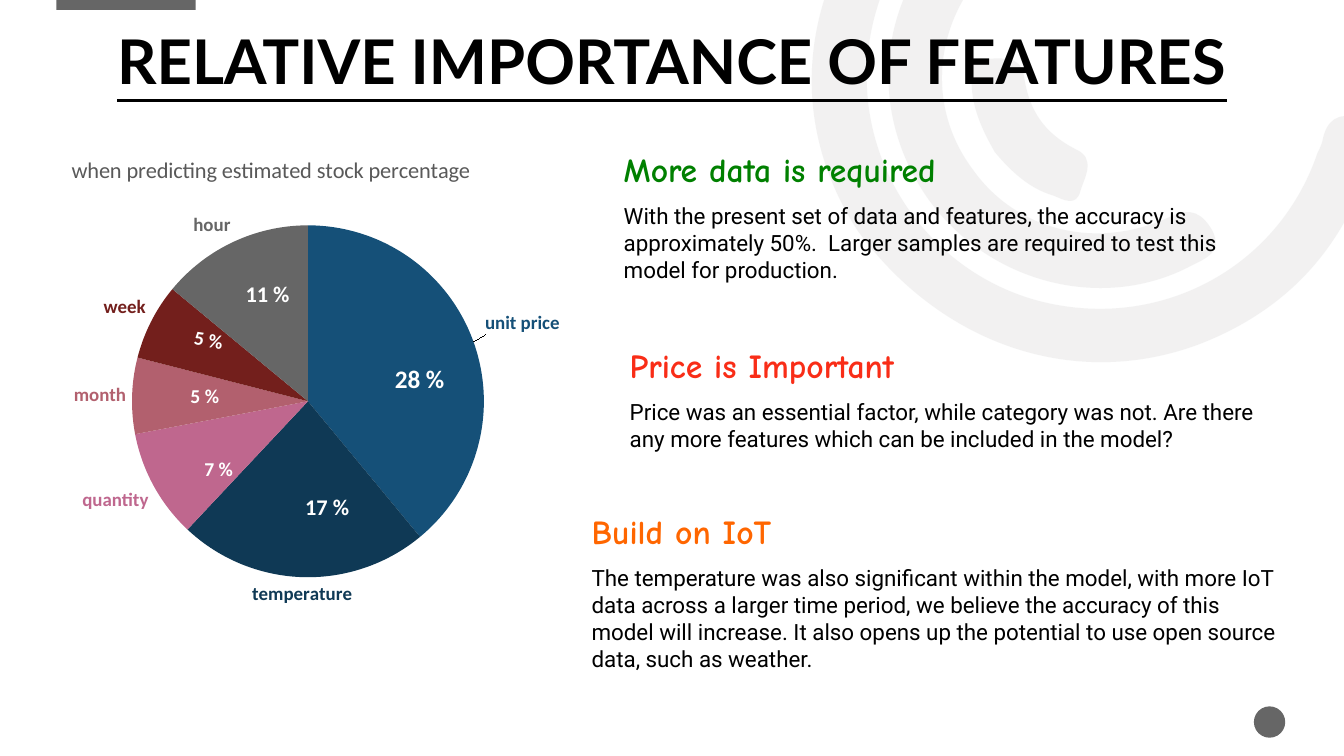
from math import cos, radians, sin

from lxml import etree
from pptx import Presentation
from pptx.chart.data import CategoryChartData
from pptx.dml.color import RGBColor
from pptx.enum.chart import XL_CHART_TYPE, XL_LABEL_POSITION
from pptx.enum.shapes import MSO_SHAPE
from pptx.enum.text import MSO_ANCHOR, PP_ALIGN
from pptx.oxml.ns import qn
from pptx.util import Cm, Pt

PIE = XL_CHART_TYPE.PIE
OUTSIDE = XL_LABEL_POSITION.OUTSIDE_END
RECT, OVAL = MSO_SHAPE.RECTANGLE, MSO_SHAPE.OVAL
BOTTOM, CENTER = MSO_ANCHOR.BOTTOM, PP_ALIGN.CENTER
GREY, PALE = "666666", "E7E6E6"
INCH = 2.54
TURN = 144.2  # turn of the swirl, in degrees

# Pie slices: name, value, colour
SLICES = [
    ("unit price", 39, "155078"), ("temperature", 23, "0F3955"),
    ("quantity", 10, "BF678E"), ("month", 7, "B2606E"),
    ("week", 7, "731F1C"), ("hour", 14, GREY),
]

# Shares on the pie: text, box, size, turn
SHARES = [
    ("28 %", (9.7, 9.04, 3.12, 1.02), 18, 0),
    ("17 %", (7.44, 12.29, 3.12, 0.94), 16, 0),
    ("7 %", (4.9, 11.4, 1.37, 0.86), 14, 0),
    ("5 %", (4.55, 9.55, 1.75, 0.86), 14, 0),
    ("5 %", (4.65, 8.13, 1.24, 0.86), 14, 8.9),
    ("11 %", (5.94, 6.93, 3.25, 0.94), 16, 0),
]

# Findings: heading, colour, box, body
NOTES = [
    ("More data is required", "008000", (15.47, 3.63, 16.97, 3.68),
     "With the present set of data and features, the accuracy is "
     "approximately 50%.  Larger samples are required to test this "
     "model for production."),
    ("Price is Important", "F92D17", (15.62, 8.56, 16.97, 3),
     "Price was an essential factor, while category was not. Are there "
     "any more features which can be included in the model?"),
    ("Build on IoT", "FF6600", (14.66, 12.75, 17.78, 5.13),
     "The temperature was also significant within the model, with more IoT "
     "data across a larger time period, we believe the accuracy of this "
     "model will increase. It also opens up the potential to use open "
     "source data, such as weather."),
]

# Swirl arms in inches: box before the turn, then a start point
# and three points for each curve as they lie on the slide
SWIRLS = [
    ((8.13, -2.02, 4.85, 6),
     [(8.51, 2.29), (7.99, 1.49), (7.87, 0.5), (8.38, -0.5),
      (8.9, -1.52), (9.76, -2.03), (10.9, -2.07),
      (11.05, -2.07), (11.21, -2.1), (11.31, -1.95),
      (11.44, -1.75), (11.27, -1.54), (10.98, -1.54),
      (9.67, -1.54), (8.65, -0.59), (8.6, 0.68),
      (8.56, 1.81), (9.36, 2.81), (10.46, 3.02),
      (11.6, 3.24), (12.7, 2.61), (13.07, 1.52),
      (13.09, 1.48), (13.11, 1.44), (13.12, 1.4),
      (13.16, 1.19), (13.27, 1.11), (13.49, 1.17),
      (13.73, 1.24), (13.67, 1.41), (13.61, 1.56),
      (13.34, 2.45), (12.78, 3.07), (11.91, 3.41),
      (10.7, 3.87), (9.36, 3.45), (8.51, 2.29)]),
    ((9.01, -0.78, 2.13, 4.26),
     [(9.22, 1.99), (8.62, 1.15), (8.69, 0.07), (9.4, -0.68),
      (9.51, -0.79), (9.62, -0.95), (9.8, -0.78),
      (9.95, -0.64), (9.97, -0.5), (9.79, -0.32),
      (9.25, 0.26), (9.2, 1.08), (9.65, 1.68),
      (10.08, 2.29), (10.88, 2.49), (11.61, 2.15),
      (11.82, 2.05), (11.93, 2.12), (12.03, 2.29),
      (12.13, 2.5), (11.97, 2.56), (11.83, 2.63),
      (10.96, 3.1), (9.83, 2.82), (9.22, 1.99)]),
    ((9.8, 0.37, 0.78, 1.83),
     [(9.87, 1.51), (9.75, 1.3), (9.64, 1.07), (9.64, 0.82),
      (9.64, 0.73), (9.61, 0.57), (9.76, 0.58),
      (9.92, 0.59), (10.13, 0.53), (10.16, 0.76),
      (10.21, 1.1), (10.36, 1.32), (10.67, 1.48),
      (10.88, 1.57), (10.76, 1.76), (10.72, 1.89),
      (10.68, 2.06), (10.55, 1.98), (10.45, 1.94),
      (10.21, 1.87), (10.03, 1.7), (9.87, 1.51)]),
]


def rgb(code):
    return RGBColor.from_string(code)


def style(font, size, color, face="Calibri", bold=False, line=False):
    font.size, font.name = Pt(size), face
    font.bold, font.underline = bold, line
    font.color.rgb = rgb(color)


def write(par, text, **look):
    run = par.add_run()
    run.text = text
    style(run.font, **look)


def paint(shape, color):
    shape.shadow.inherit = False
    shape.fill.solid()
    shape.fill.fore_color.rgb = rgb(color)
    shape.line.fill.background()


def set_box(shape, box):
    shape.left, shape.top, shape.width, shape.height = map(Cm, box)


def add_box(slide, box, wrap=True):
    shape = slide.shapes.add_textbox(*map(Cm, box))
    shape.text_frame.word_wrap = wrap
    return shape


def unturn(node, box):
    """Turn a point back about the box centre, measured from the box corner."""
    left, top, wide, high = box
    dx, dy = node[0] - left - wide / 2, node[1] - top - high / 2
    c, s = cos(radians(TURN)), sin(radians(TURN))
    return (Cm((wide / 2 + dx * c + dy * s) * INCH),
            Cm((high / 2 + dy * c - dx * s) * INCH))


def add_swirl(slide, box, nodes):
    dots = [unturn(node, box) for node in nodes]
    pen = slide.shapes.build_freeform(*dots[0])
    pen.add_line_segments(dots[3::3], close=True)
    shape = pen.convert_to_shape()
    set_box(shape, [side * INCH for side in box])
    shape.rotation = TURN
    paint(shape, PALE)
    tint = shape.fill._xPr.find(".//" + qn("a:srgbClr"))
    etree.SubElement(tint, qn("a:alpha"), val="53000")

    # Smooth curves in place of the straight steps
    route = shape._element.find(".//" + qn("a:path"))
    for step in list(route):
        route.remove(step)
    route.set("w", str(shape.width))
    route.set("h", str(shape.height))
    add_step(route, "moveTo", dots[:1])
    for i in range(1, len(dots), 3):
        add_step(route, "cubicBezTo", dots[i:i + 3])
    add_step(route, "close", [])


def add_step(route, kind, dots):
    step = etree.SubElement(route, qn("a:" + kind))
    for x, y in dots:
        etree.SubElement(step, qn("a:pt"), x=str(x), y=str(y))


def place(part, index, **values):
    """Give a chart part a manual layout."""
    for old in part.findall(qn("c:layout")):
        part.remove(old)
    layout = etree.Element(qn("c:layout"))
    manual = etree.SubElement(layout, qn("c:manualLayout"))
    for name, value in values.items():
        etree.SubElement(manual, qn("c:" + name), val=str(value))
    part.insert(index, layout)


def add_pie(slide):
    data = CategoryChartData()
    data.categories = [name for name, _, _ in SLICES]
    data.add_series("Series 1", [value for _, value, _ in SLICES])
    chart = slide.shapes.add_chart(PIE, *map(Cm, (0.33, 3.43, 15.29, 12.22)), data).chart
    chart.has_legend = False
    style(chart.font, 10, "000000")
    chart.has_title = True
    write(chart.chart_title.text_frame.paragraphs[0],
          "when predicting estimated stock percentage", size=16, color="595959")
    plot = chart.plots[0]
    plot.vary_by_categories = True
    for i, (_, _, color) in enumerate(SLICES):
        point = plot.series[0].points[i]
        point.format.fill.solid()
        point.format.fill.fore_color.rgb = rgb(color)
        style(point.data_label.font, 13.5, color, bold=True)
        point.data_label.position = OUTSIDE

    # Category names as labels, and fixed places
    tree = chart._chartSpace
    labels = list(tree.iter(qn("c:dLbl")))
    for label in labels:
        label.find(qn("c:showVal")).set("val", "0")
        label.find(qn("c:showCatName")).set("val", "1")
    place(labels[0], 1, x=0.01, y=-0.01)
    place(tree.find(".//" + qn("c:title")), 1, xMode="edge", yMode="edge", x=0.09, y=0.03)
    place(tree.find(".//" + qn("c:plotArea")), 0, layoutTarget="inner",
          xMode="edge", yMode="edge", x=0.196, y=0.184, w=0.58, h=0.726)


def add_note(slide, head, color, box, body):
    frame = add_box(slide, box).text_frame
    write(frame.paragraphs[0], head, size=24, color=color, face="Comic Neue", bold=True)
    par = frame.add_paragraph()
    par.space_before = Pt(9.5)
    write(par, body, size=16, color="000000", face="Roboto")


def set_title(slide, text):
    title = slide.shapes.title
    set_box(title, (0, 0.71, 33.87, 1.75))
    frame = title.text_frame
    frame.margin_left = frame.margin_right = frame.margin_top = frame.margin_bottom = 0
    frame.vertical_anchor = BOTTOM
    par = frame.paragraphs[0]
    par.alignment, par.line_spacing = CENTER, 0.9
    write(par, text, size=44, color="000000", face="Lato", bold=True, line=True)
    slide.shapes._spTree.append(title._element)  # in front of the swirls


def main():
    deck = Presentation()
    deck.slide_width, deck.slide_height = Cm(33.87), Cm(19.05)
    slide = deck.slides.add_slide(deck.slide_layouts[5])

    # Backdrop
    for kind, box in ((RECT, (1.42, -0.05, 3.51, 0.3)), (OVAL, (31.6, 17.8, 0.79, 0.79))):
        paint(slide.shapes.add_shape(kind, *map(Cm, box)), GREY)
    for swirl in SWIRLS:
        add_swirl(slide, *swirl)

    # Content
    set_title(slide, "RELATIVE IMPORTANCE OF FEATURES")
    add_pie(slide)
    for text, box, size, turn in SHARES:
        share = add_box(slide, box, wrap=not turn)
        share.rotation = turn
        write(share.text_frame.paragraphs[0], text, size=size, color="FFFFFF", bold=True)
    for note in NOTES:
        add_note(slide, *note)
    deck.save("out.pptx")


if __name__ == "__main__":
    main()
